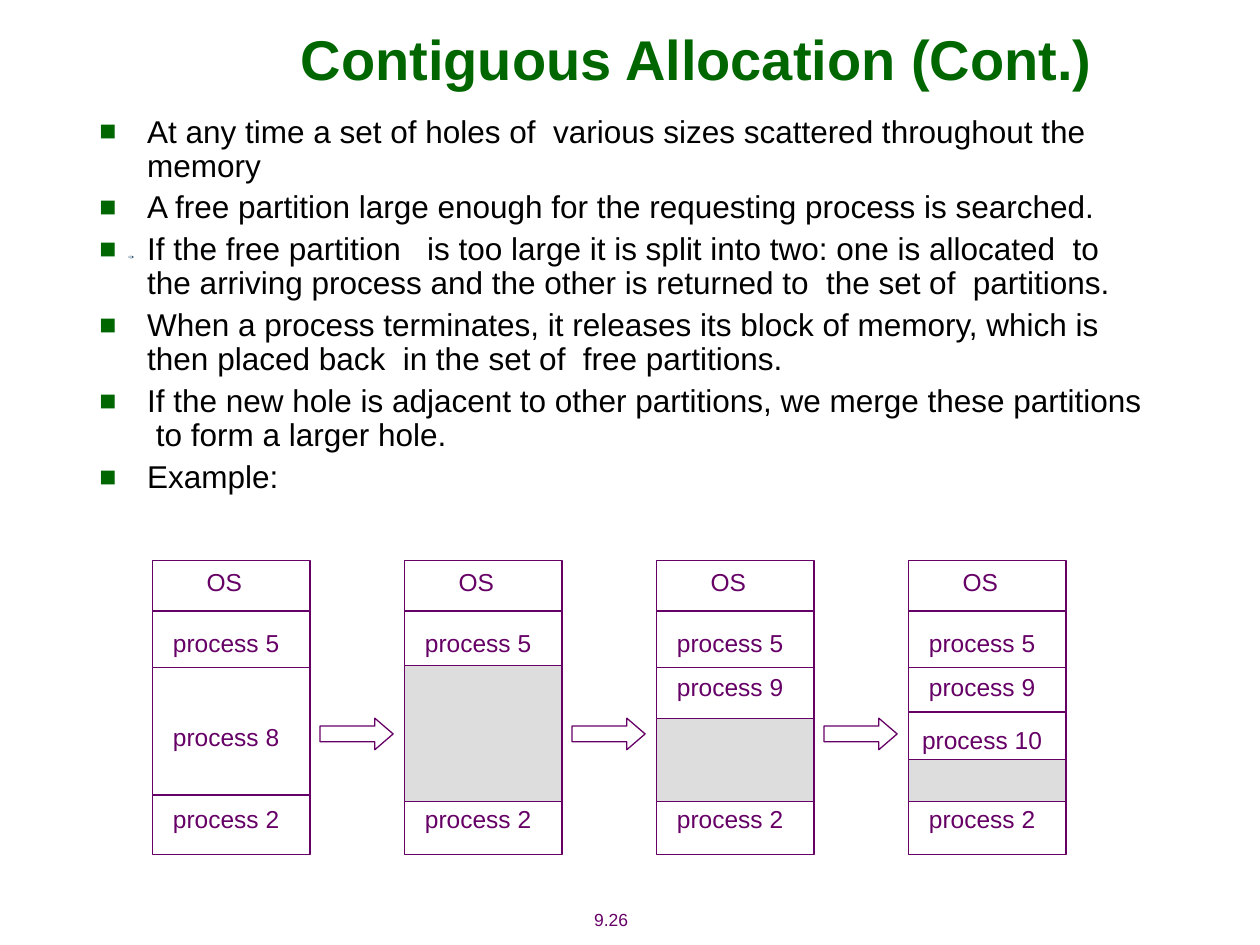
"""Build the contiguous allocation slide with four memory states."""
import dataclasses
import typing

import lxml.etree
import pptx
import pptx.dml.color
import pptx.enum.shapes
import pptx.enum.text
import pptx.oxml
import pptx.oxml.ns
import pptx.util

RGBColor = pptx.dml.color.RGBColor
Shapes = pptx.enum.shapes.MSO_SHAPE
Align = pptx.enum.text.PP_ALIGN
Anchor = pptx.enum.text.MSO_ANCHOR
qn = pptx.oxml.ns.qn

GREEN = RGBColor(0x00, 0x66, 0x00)
PURPLE = RGBColor(0x66, 0x00, 0x66)
BLACK = RGBColor(0x00, 0x00, 0x00)
WHITE = RGBColor(0xFF, 0xFF, 0xFF)
GREY = RGBColor(0xDD, 0xDD, 0xDD)
DARK_BLUE = RGBColor(0x28, 0x4C, 0x70)
PALE_BLUE = RGBColor(0xBF, 0xCC, 0xD8)

FONT = "Arial"
SLIDE_WIDTH = pptx.util.Inches(10)
SLIDE_HEIGHT = pptx.util.Inches(7.5)
COLUMNS, ROWS = 100, 75

FIRST_MEMORY, MEMORY_PITCH = 12.1, 20
MEMORY_TOP, MEMORY_WIDTH, MEMORY_HEIGHT = 44.5, 12.5, 23.3
COMMON_DIVIDERS = (48.5, 53, 63.1)
LABEL_WIDTH, LABEL_HEIGHT = 11.7, 3.4


@dataclasses.dataclass(frozen=True)
class Area:
    """A rectangle in grid columns and rows."""

    left: float
    top: float
    width: float
    height: float

    def lengths(self) -> tuple[int, int, int, int]:
        """Return the rectangle in slide units."""
        return column(self.left), row(self.top), column(self.width), row(self.height)


@dataclasses.dataclass(frozen=True)
class Label:
    """A process name and the row where its box starts."""

    name: str
    top: float


@dataclasses.dataclass(frozen=True)
class MemoryState:
    """What one memory column holds besides the common processes."""

    labels: tuple[Label, ...] = ()
    hole: tuple[float, float] | None = None
    dividers: tuple[float, ...] = ()


@dataclasses.dataclass(frozen=True)
class TextStyle:
    """The look of a run and its paragraph."""

    size: float
    color: RGBColor
    bold: bool = False
    align: Align = Align.CENTER
    space_before: float = 0
    line_spacing: float = 1.0


TITLE_STYLE = TextStyle(32, GREEN, bold=True)
POINT_STYLE = TextStyle(18, BLACK, align=Align.LEFT, space_before=4.5, line_spacing=0.9)
LABEL_STYLE = TextStyle(14, PURPLE, space_before=8.8)
NUMBER_STYLE = TextStyle(10, PURPLE, space_before=6.2)

POINTS = (
    "At any time a set of holes of  various sizes scattered throughout the memory",
    "A free partition large enough for the requesting process is searched.",
    "If the free partition   is too large it is split into two: one is allocated  to "
    "the arriving process and the other is returned to  the set of  partitions.",
    "When a process terminates, it releases its block of memory, which is then placed "
    "back  in the set of  free partitions.",
    "If the new hole is adjacent to other partitions, we merge these partitions  to "
    "form a larger hole.",
    "Example:",
)
COMMON_LABELS = (Label("process 5", 49.3), Label("process 2", 63.3))
PROCESS_9 = Label("process 9", 52.8)
STATES = (
    MemoryState((Label("process 8", 56.8),)),
    MemoryState(hole=(52.8, 63.6)),
    MemoryState((PROCESS_9,), (57, 63.6)),
    MemoryState((PROCESS_9, Label("process 10", 57)), (60.3, 63.6), (56.5,)),
)
SPECKS = (
    (Area(10.2, 20.3, 0.4, 0.2), DARK_BLUE),
    (Area(10.2, 20.3, 0.3, 0.2), PALE_BLUE),
    (Area(16.3, 19.9, 0.5, 0.3), PALE_BLUE),
)


def column(count: float) -> int:
    """Return the width of a number of grid columns."""
    return round(SLIDE_WIDTH * count / COLUMNS)


def row(count: float) -> int:
    """Return the height of a number of grid rows."""
    return round(SLIDE_HEIGHT * count / ROWS)


def add_text(slide: typing.Any, area: Area, texts: tuple[str, ...], style: TextStyle,
             anchor: Anchor = Anchor.MIDDLE, wrap: bool = True) -> typing.Any:
    """Add a text box with one paragraph per text and return its frame."""
    frame = slide.shapes.add_textbox(*area.lengths()).text_frame
    frame.word_wrap = wrap
    frame.vertical_anchor = anchor
    for index, text in enumerate(texts):
        paragraph = frame.add_paragraph() if index else frame.paragraphs[0]
        paragraph.alignment = style.align
        paragraph.line_spacing = style.line_spacing
        paragraph.space_before = pptx.util.Pt(style.space_before)
        run = paragraph.add_run()
        run.text = text
        run.font.name = FONT
        run.font.size = pptx.util.Pt(style.size)
        run.font.bold = style.bold
        run.font.color.rgb = style.color
    return frame


def add_bullet(paragraph: typing.Any) -> None:
    """Give a paragraph a green square bullet and a hanging indent."""
    properties = paragraph._p.get_or_add_pPr()
    indent = pptx.util.Inches(0.38)
    properties.set("marL", str(indent))
    properties.set("indent", str(-indent))
    color = lxml.etree.SubElement(properties, qn("a:buClr"))
    lxml.etree.SubElement(color, qn("a:srgbClr")).set("val", str(GREEN))
    lxml.etree.SubElement(properties, qn("a:buSzPct")).set("val", "90000")
    lxml.etree.SubElement(properties, qn("a:buFont")).set("typeface", FONT)
    lxml.etree.SubElement(properties, qn("a:buChar")).set("char", "■")


def add_figure(slide: typing.Any, preset: Shapes, area: Area, fill: RGBColor,
               outline: RGBColor | None = PURPLE) -> typing.Any:
    """Add a filled preset shape, outlined unless outline is None."""
    figure = slide.shapes.add_shape(preset, *area.lengths())
    figure.shadow.inherit = False
    figure.fill.solid()
    figure.fill.fore_color.rgb = fill
    if outline is None:
        figure.line.fill.background()
    else:
        figure.line.color.rgb = outline
        figure.line.width = pptx.util.Pt(0.75)
    return figure


def add_divider(slide: typing.Any, left: float, top: float) -> None:
    """Draw a line across one memory column."""
    divider = slide.shapes.add_connector(
        pptx.enum.shapes.MSO_CONNECTOR.STRAIGHT,
        column(left), row(top), column(left + MEMORY_WIDTH), row(top))
    divider.line.color.rgb = PURPLE
    divider.line.width = pptx.util.Pt(0.75)
    lxml.etree.SubElement(divider._element.spPr, qn("a:effectLst"))


def add_memory(slide: typing.Any, left: float, state: MemoryState) -> None:
    """Draw one memory column with its processes and hole."""
    add_figure(slide, Shapes.RECTANGLE,
               Area(left, MEMORY_TOP, MEMORY_WIDTH, MEMORY_HEIGHT), WHITE)
    for top in COMMON_DIVIDERS + state.dividers:
        add_divider(slide, left, top)
    if state.hole:
        top, bottom = state.hole
        add_figure(slide, Shapes.RECTANGLE,
                   Area(left, top, MEMORY_WIDTH, bottom - top), GREY)
    add_text(slide, Area(left + 3.3, MEMORY_TOP, 4.8, LABEL_HEIGHT), ("OS",),
             LABEL_STYLE, wrap=False)
    for label in COMMON_LABELS + state.labels:
        add_text(slide, Area(left, label.top, LABEL_WIDTH, LABEL_HEIGHT),
                 (label.name,), LABEL_STYLE)


def main() -> None:
    """Build and save the slide."""
    deck = pptx.Presentation()
    deck.slide_width, deck.slide_height = SLIDE_WIDTH, SLIDE_HEIGHT
    slide = deck.slides.add_slide(deck.slide_layouts[6])
    add_text(slide, Area(43.8, 71.6, 9.4, 2.7), ("9.26",), NUMBER_STYLE, wrap=False)
    for area, color in SPECKS:
        add_figure(slide, Shapes.OVAL, area, color, outline=None)
    add_text(slide, Area(12.8, 0, 85, 9.2), ("Contiguous Allocation (Cont.)",), TITLE_STYLE)
    body = add_text(slide, Area(6.9, 8.7, 84.8, 31.7), POINTS, POINT_STYLE, Anchor.TOP)
    for point in body.paragraphs:
        add_bullet(point)
    for index, state in enumerate(STATES):
        left = FIRST_MEMORY + index * MEMORY_PITCH
        add_memory(slide, left, state)
        if index:
            arrow = add_figure(slide, Shapes.RIGHT_ARROW,
                               Area(left - 6.7, 57, 5.8, 2.5), WHITE)
            arrow.adjustments[1] = 0.58
    deck.save("out.pptx")


if __name__ == "__main__":
    main()
